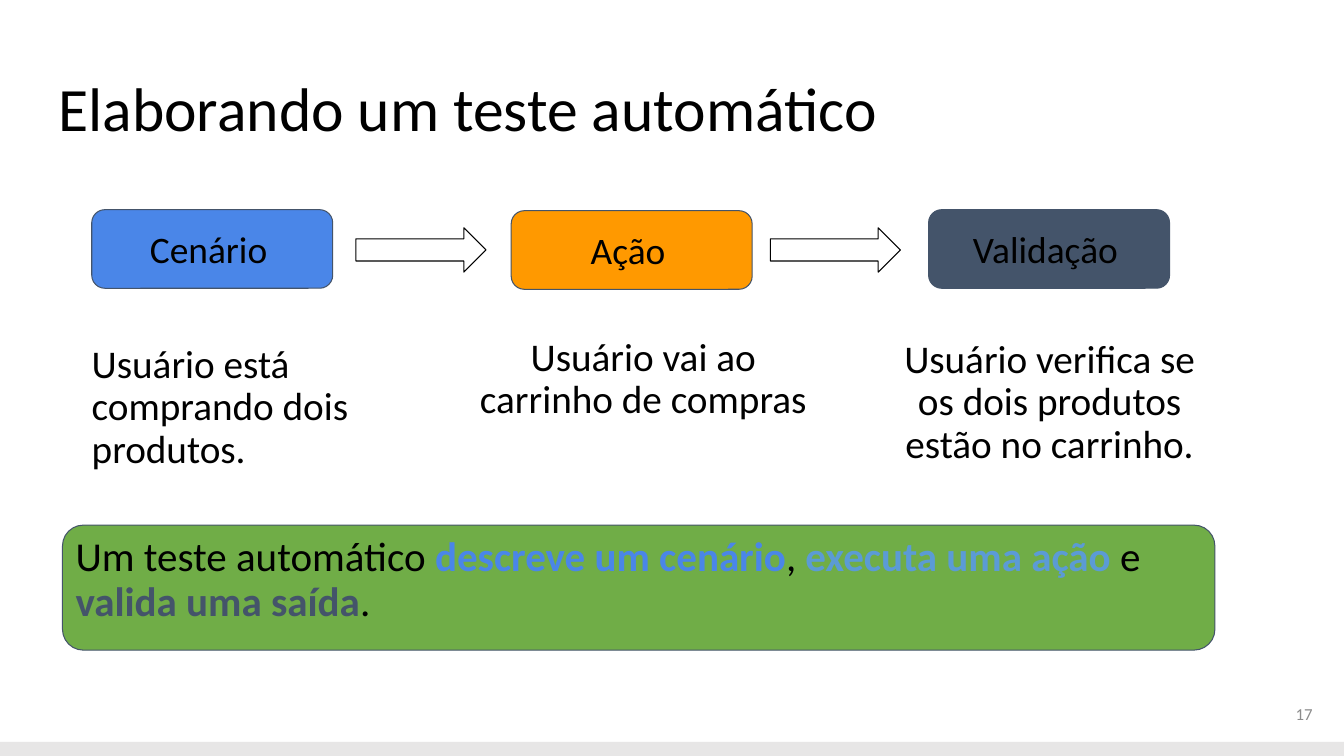
from typing import NamedTuple

from pptx import Presentation
from pptx.dml.color import RGBColor
from pptx.enum.shapes import MSO_SHAPE as Shape
from pptx.enum.text import MSO_ANCHOR as Anchor, MSO_AUTO_SIZE as AutoSize, PP_ALIGN as Align
from pptx.util import Emu, Pt

EMU_PER_PX = 9144  # 100 px to the inch
FONT = "Calibri"
BLACK, SLATE, BLUE, ORANGE = "000000", "44546A", "4A86E8", "FF9900"
GREEN, SKY, GREY, FOOTER_GREY = "70AD47", "5B9BD5", "8C8C8C", "E7E6E6"
INSET, WIDE_INSET = 13, 20
STEP_SIZE = (239, 78)
ARROW_SIZE = (129, 44)


class Box(NamedTuple):
    left: int
    top: int
    width: int
    height: int


class Run(NamedTuple):
    text: str
    size: float
    color: str = BLACK
    bold: bool = False


class Step(NamedTuple):
    name: str
    fill: str
    left: int
    top: int
    description: str
    description_box: Box
    align: Align


STEPS = [
    Step("Cenário", BLUE, 91, 208, "Usuário está comprando dois produtos.",
         Box(78, 329, 308, 169), Align.LEFT),
    Step("Ação", ORANGE, 507, 209, "Usuário vai ao carrinho de compras",
         Box(461, 322, 354, 145), Align.CENTER),
    Step("Validação", SLATE, 921, 208, "Usuário verifica se os dois produtos estão no carrinho.",
         Box(864, 324, 354, 145), Align.CENTER),
]
ARROW_LEFTS = [353, 764]
SUMMARY_SIZE = 29.3
SUMMARY = [
    Run("Um teste automático ", SUMMARY_SIZE),
    Run("descreve um cenário", SUMMARY_SIZE, BLUE, True),
    Run(", ", SUMMARY_SIZE),
    Run("executa uma ação", SUMMARY_SIZE, SKY, True),
    Run(" e ", SUMMARY_SIZE),
    Run("valida uma saída", SUMMARY_SIZE, SLATE, True),
    Run(".", SUMMARY_SIZE),
]


def px(length: int) -> Emu:
    return Emu(length * EMU_PER_PX)


def emu_box(box: Box) -> list[Emu]:
    return [px(length) for length in box]


def rgb(color: str) -> RGBColor:
    return RGBColor.from_string(color)


def write(frame, runs: list[Run], align: Align = Align.LEFT, anchor: Anchor = Anchor.TOP,
          right_inset: int = INSET, line_spacing: float = 1.0, space_after: float = 0) -> None:
    frame.word_wrap = True
    frame.auto_size = AutoSize.NONE
    frame.vertical_anchor = anchor
    frame.margin_left = frame.margin_top = frame.margin_bottom = px(INSET)
    frame.margin_right = px(right_inset)
    paragraph = frame.paragraphs[0]
    paragraph.alignment = align
    paragraph.line_spacing = line_spacing
    paragraph.space_after = Pt(space_after)
    for part in runs:
        run = paragraph.add_run()
        run.text = part.text
        run.font.name = FONT
        run.font.size = Pt(part.size)
        run.font.bold = part.bold
        run.font.color.rgb = rgb(part.color)


def add_body(slide, box: Box, runs: list[Run], align: Align = Align.LEFT) -> None:
    body = slide.shapes.add_textbox(*emu_box(box))
    write(body.text_frame, runs, align, line_spacing=0.9, space_after=21.3)


def add_figure(slide, kind: Shape, box: Box, fill: str | None = None, line: str | None = None):
    figure = slide.shapes.add_shape(kind, *emu_box(box))
    figure.shadow.inherit = False
    if fill:
        figure.fill.solid()
        figure.fill.fore_color.rgb = rgb(fill)
    else:
        figure.fill.background()
    if line:
        figure.line.color.rgb = rgb(line)
        figure.line.width = Pt(0.75)
    else:
        figure.line.fill.background()
    return figure


def add_step(slide, step: Step) -> None:
    card = add_figure(slide, Shape.ROUNDED_RECTANGLE, Box(step.left, step.top, *STEP_SIZE),
                      step.fill, SLATE)
    write(card.text_frame, [Run(step.name, 26.7)], Align.CENTER, Anchor.MIDDLE, WIDE_INSET)
    add_body(slide, step.description_box, [Run(step.description, 28)], step.align)


def main() -> None:
    deck = Presentation()
    deck.slide_width, deck.slide_height = px(1333), px(750)
    slide = deck.slides.add_slide(deck.slide_layouts[5])

    # Footer band and page number
    add_figure(slide, Shape.RECTANGLE, Box(0, 736, 1333, 14), FOOTER_GREY)
    page_number = slide.shapes.add_textbox(*emu_box(Box(1235, 680, 80, 57)))
    write(page_number.text_frame, [Run("17", 12, GREY)], Align.RIGHT, Anchor.MIDDLE)

    # Title
    title = slide.shapes.title
    title.left, title.top, title.width, title.height = emu_box(Box(45, 65, 1242, 84))
    write(title.text_frame, [Run("Elaborando um teste automático", 44)], line_spacing=0.9)

    # Steps of a test, with arrows between them
    for step in STEPS:
        add_step(slide, step)
    for left in ARROW_LEFTS:
        add_figure(slide, Shape.RIGHT_ARROW, Box(left, 226, *ARROW_SIZE), line=BLACK)

    # Summary
    add_figure(slide, Shape.ROUNDED_RECTANGLE, Box(62, 521, 1143, 124), GREEN, SLATE)
    add_body(slide, Box(62, 519, 1143, 113), SUMMARY)

    deck.save("out.pptx")


if __name__ == "__main__":
    main()
